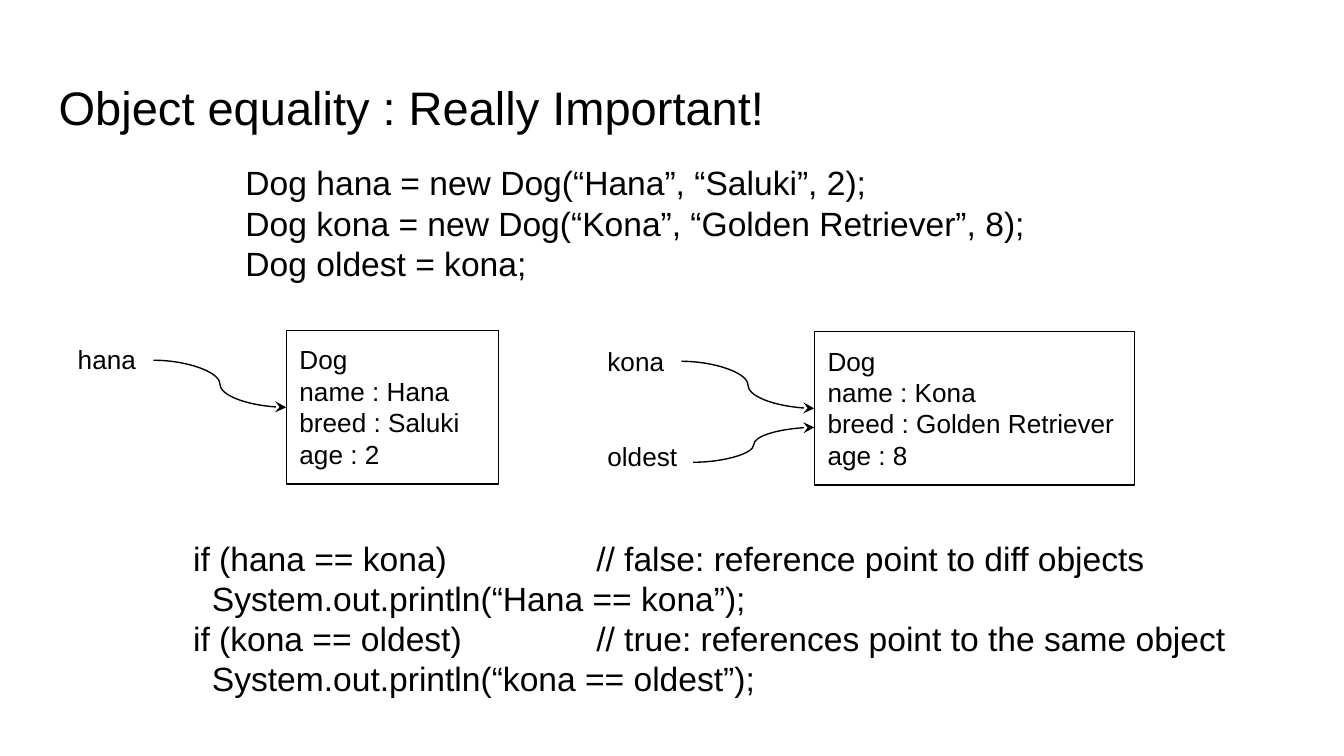
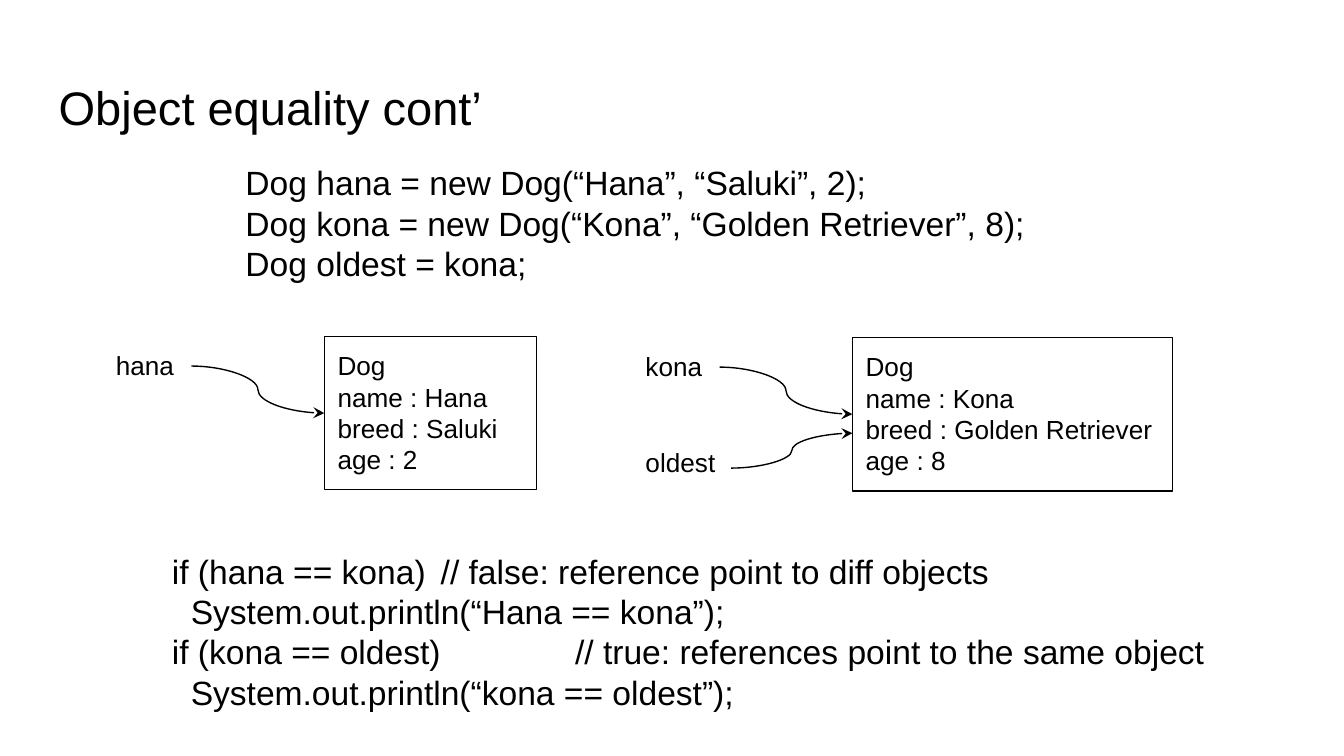
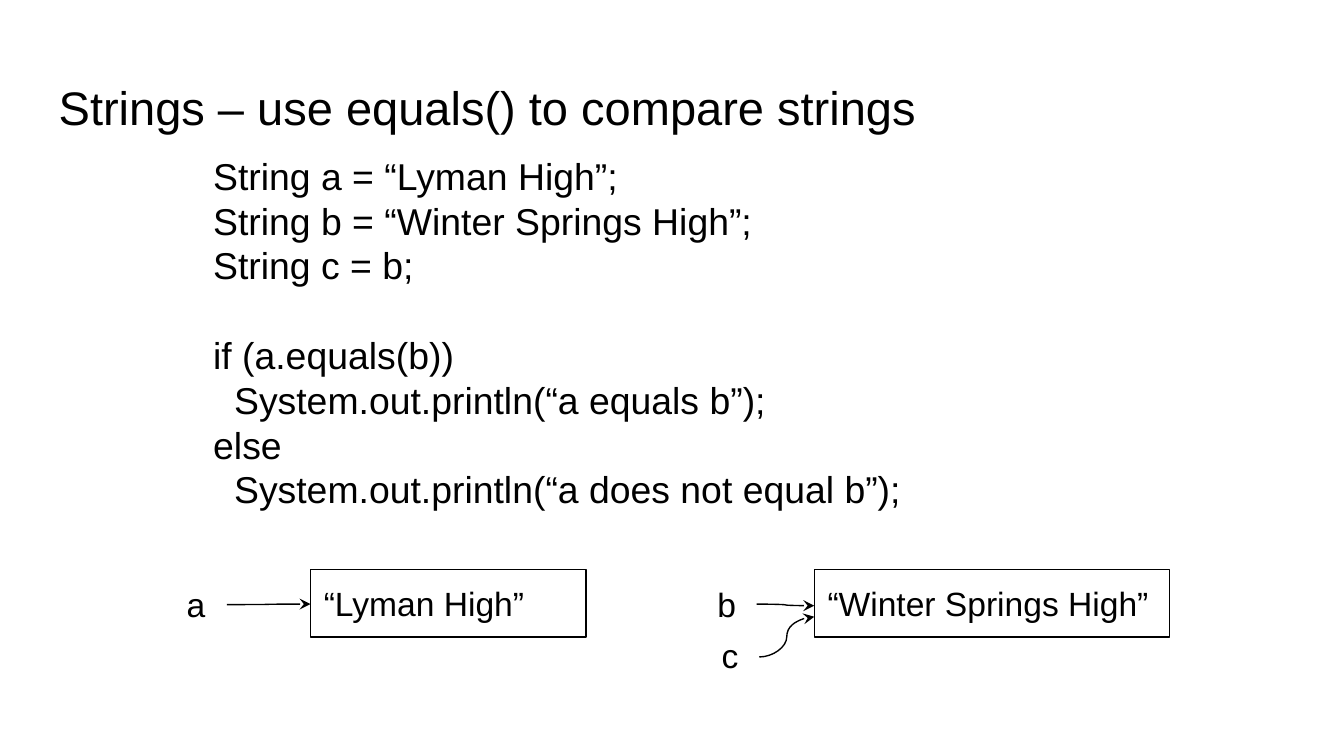
from dataclasses import dataclass

from lxml import etree
from pptx import Presentation
from pptx.dml.color import RGBColor
from pptx.enum.shapes import MSO_CONNECTOR, MSO_SHAPE
from pptx.enum.text import MSO_ANCHOR, MSO_AUTO_SIZE, PP_ALIGN
from pptx.oxml.ns import qn
from pptx.util import Cm, Pt

CURVE = MSO_CONNECTOR.CURVE
RECTANGLE = MSO_SHAPE.RECTANGLE
TOP = MSO_ANCHOR.TOP
LEFT = PP_ALIGN.LEFT
GROW = MSO_AUTO_SIZE.SHAPE_TO_FIT_TEXT


@dataclass(frozen=True)
class Theme:
    ink: RGBColor = RGBColor(0, 0, 0)
    paper: RGBColor = RGBColor(255, 255, 255)
    font: str = "Arial"
    title: float = 25.2
    large_code: float = 20
    code: float = 18
    label: float = 14
    line_width: float = 0.75
    line_height: float = 1.2
    indent: float = 0.56
    inset: float = 0.25


@dataclass(frozen=True)
class Line:
    text: str
    indented: bool = False
    tab_stop: float = 0
    gap_before: bool = False


THEME = Theme()
SLIDE_SIZE = (25.4, 14.29)
TITLE_BOX = (0.86, 1.24, 23.67, 1.6)

DOG_CODE = [
    Line("Dog hana = new Dog(“Hana”, “Saluki”, 2);"),
    Line("Dog kona = new Dog(“Kona”, “Golden Retriever”, 8);"),
    Line("Dog oldest = kona;"),
]
DOG_CODE_BOX = (4.39, 2.82, 17.3, 3.43)


def dog_tests(false_stop):
    return [
        Line("if (hana == kona)\t// false: reference point to diff objects", tab_stop=false_stop),
        Line("System.out.println(“Hana == kona”);", indented=True),
        Line("if (kona == oldest)\t// true: references point to the same object", tab_stop=7.62),
        Line("System.out.println(“kona == oldest”);", indented=True),
    ]


STRING_CODE = [
    Line("String a = “Lyman High”;"),
    Line("String b = “Winter Springs High”;"),
    Line("String c = b;"),
    Line("if (a.equals(b))", gap_before=True),
    Line("System.out.println(“a equals b”);", indented=True),
    Line("else"),
    Line("System.out.println(“a does not equal b”);", indented=True),
]

DOG_DIAGRAM = {
    "size": THEME.label,
    "objects": [
        (["Dog", "name : Hana", "breed : Saluki", "age : 2"], (5.41, 6.25, 4.01, 2.9)),
        (["Dog", "name : Kona", "breed : Golden Retriever", "age : 8"], (15.39, 6.27, 6.05, 2.9)),
    ],
    "variables": [
        ("hana", (1.22, 6.25, 1.66, 1.11)),
        ("kona", (11.23, 6.27, 1.66, 1.11)),
        ("oldest", (11.23, 8.08, 2.06, 1.11)),
    ],
    "arrows": [
        (2.9, 6.81, 5.41, 7.7),
        (12.88, 6.83, 15.39, 7.72),
        (13.1, 8.74, 15.39, 8.08),
    ],
}
STRING_DIAGRAM = {
    "size": THEME.code,
    "objects": [
        (["“Lyman High”"], (5.87, 10.77, 5.21, 1.27)),
        (["“Winter Springs High”"], (15.39, 10.77, 6.71, 1.27)),
    ],
    "variables": [
        ("a", (3.28, 10.79, 1, 1.27)),
        ("b", (13.31, 10.78, 1, 1.27)),
        ("c", (13.39, 11.76, 1, 1.27)),
    ],
    "arrows": [
        (4.29, 11.43, 5.87, 11.42),
        (14.3, 11.42, 15.39, 11.45),
        (14.35, 12.42, 15.39, 11.66),
    ],
}

SLIDES = [
    {
        "title": "Object equality : Really Important!",
        "code": [(DOG_CODE, DOG_CODE_BOX, THEME.code),
                 (dog_tests(7.62), (3.4, 9.91, 22.05, 4.95), THEME.code)],
        "diagram": DOG_DIAGRAM,
        "shift": (0, 0),
    },
    {
        "title": "Object equality cont’",
        "code": [(DOG_CODE, DOG_CODE_BOX, THEME.code),
                 (dog_tests(5.08), (3, 10.16, 20.14, 4.95), THEME.code)],
        "diagram": DOG_DIAGRAM,
        "shift": (0.72, 0.11),
    },
    {
        "title": "Strings – use equals() to compare strings",
        "code": [(STRING_CODE, (3.78, 2.64, 16, 7.95), THEME.large_code)],
        "diagram": STRING_DIAGRAM,
        "shift": (0, 0),
    },
]


def add_tab_stop(paragraph, position):
    properties = paragraph._p.get_or_add_pPr()
    tab_list = etree.SubElement(properties, qn("a:tabLst"))
    etree.SubElement(tab_list, qn("a:tab"), pos=str(Cm(position)), algn="l")


def write_lines(shape, lines, size):
    frame = shape.text_frame
    frame.word_wrap = True
    frame.vertical_anchor = TOP
    for side in ("left", "top", "right", "bottom"):
        setattr(frame, f"margin_{side}", Cm(THEME.inset))
    frame.text = "\n".join(line.text for line in lines)
    for paragraph, line in zip(frame.paragraphs, lines):
        paragraph.alignment = LEFT
        paragraph.line_spacing = 1.0
        if line.gap_before:
            paragraph.space_before = Pt(size * THEME.line_height)
        if line.indented:
            properties = paragraph._p.get_or_add_pPr()
            properties.set("marL", str(int(Pt(size * THEME.indent))))
            properties.set("indent", "0")
        if line.tab_stop:
            add_tab_stop(paragraph, line.tab_stop)
        for run in paragraph.runs:
            run.font.name = THEME.font
            run.font.size = Pt(size)
            run.font.color.rgb = THEME.ink


def add_text(slide, lines, box, size):
    shape = slide.shapes.add_textbox(*map(Cm, box))
    write_lines(shape, lines, size)
    return shape


def style_line(line):
    line.color.rgb = THEME.ink
    line.width = Pt(THEME.line_width)


def add_object(slide, texts, box, size):
    shape = slide.shapes.add_shape(RECTANGLE, *map(Cm, box))
    shape.shadow.inherit = False
    shape.fill.background()
    style_line(shape.line)
    write_lines(shape, [Line(text) for text in texts], size)
    shape.text_frame.auto_size = GROW


def add_arrow(slide, ends):
    connector = slide.shapes.add_connector(CURVE, *map(Cm, ends))
    style_line(connector.line)
    etree.SubElement(connector.line._get_or_add_ln(), qn("a:tailEnd"), type="stealth")
    etree.SubElement(connector._element.spPr, qn("a:effectLst"))


def add_diagram(slide, diagram, shift):
    dx, dy = shift
    size = diagram["size"]
    for texts, (left, top, width, height) in diagram["objects"]:
        add_object(slide, texts, (left + dx, top + dy, width, height), size)
    for name, (left, top, width, height) in diagram["variables"]:
        add_text(slide, [Line(name)], (left + dx, top + dy, width, height), size)
    for x1, y1, x2, y2 in diagram["arrows"]:
        add_arrow(slide, (x1 + dx, y1 + dy, x2 + dx, y2 + dy))


def main():
    presentation = Presentation()
    presentation.slide_width, presentation.slide_height = map(Cm, SLIDE_SIZE)
    blank = presentation.slide_layouts[6]
    for content in SLIDES:
        slide = presentation.slides.add_slide(blank)
        slide.background.fill.solid()
        slide.background.fill.fore_color.rgb = THEME.paper
        add_text(slide, [Line(content["title"])], TITLE_BOX, THEME.title)
        for lines, box, size in content["code"]:
            add_text(slide, lines, box, size)
        add_diagram(slide, content["diagram"], content["shift"])
    presentation.save("out.pptx")


if __name__ == "__main__":
    main()
